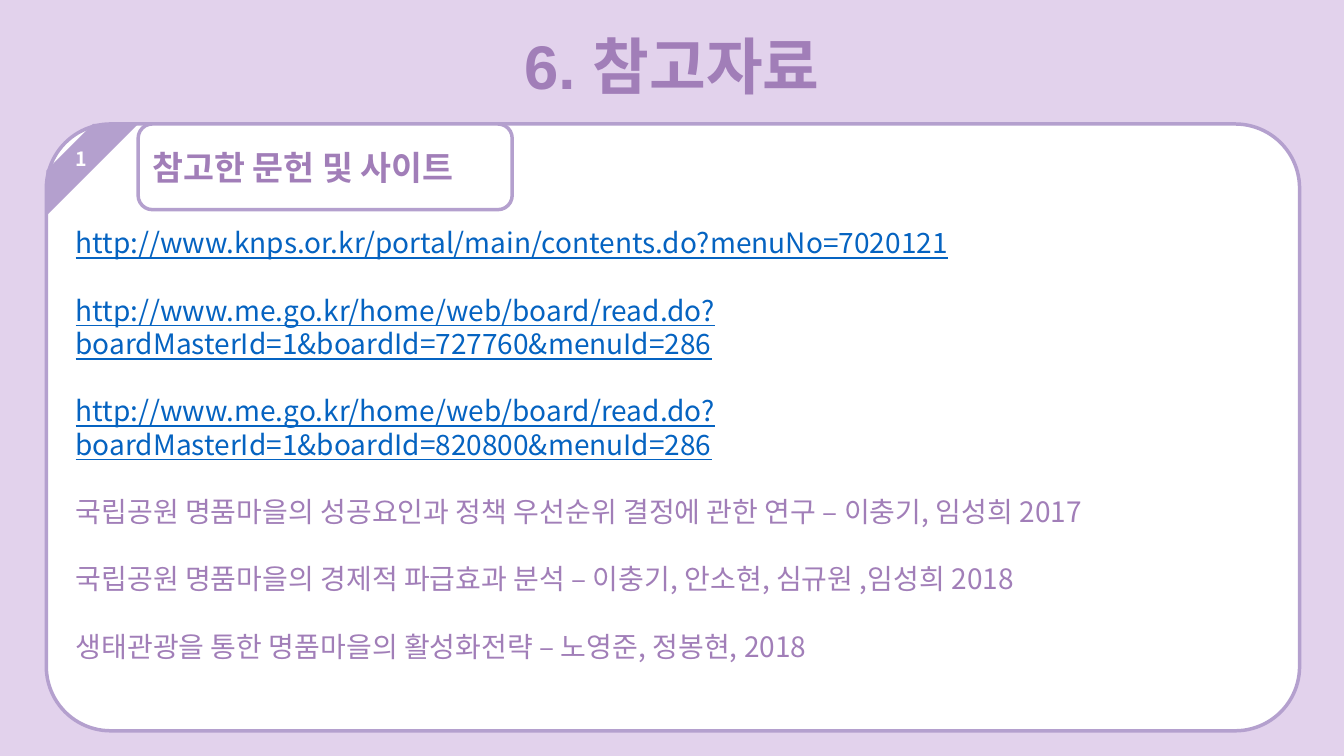
import pptx
import pptx.util
import pptx.dml.color
import pptx.enum.shapes
import pptx.enum.text
import pptx.oxml.ns
import lxml.etree

WIDE, HIGH = 13.33, 7.5
LILAC, PLUM, EDGE, WHITE, BLUE = "E2D2EC", "A17EB8", "B4A0CE", "FFFFFF", "0563C1"
NOTO = "Noto Sans CJK KR"
LEFT, TOP = 0.46, 1.23
KIND = pptx.enum.shapes.MSO_SHAPE
ALIGN = pptx.enum.text.PP_ALIGN
ANCHOR = pptx.enum.text.MSO_ANCHOR
LINKS = [
    "http://www.knps.or.kr/portal/main/contents.do?menuNo=7020121",
    "http://www.me.go.kr/home/web/board/read.do?boardMasterId=1&boardId=727760&menuId=286",
    "http://www.me.go.kr/home/web/board/read.do?boardMasterId=1&boardId=820800&menuId=286",
]
PAPERS = [
    "국립공원 명품마을의 성공요인과 정책 우선순위 결정에 관한 연구 – 이충기, 임성희 2017",
    "국립공원 명품마을의 경제적 파급효과 분석 – 이충기, 안소현, 심규원 ,임성희 2018",
    "생태관광을 통한 명품마을의 활성화전략 – 노영준, 정봉현, 2018",
]


def paint(color, tone):
    color.rgb = pptx.dml.color.RGBColor.from_string(tone)


def apply(item, form):
    for name, value in form.items():
        setattr(item, name, value)


def place(shape, box):
    names = ("left", "top", "width", "height")
    apply(shape, dict(zip(names, map(pptx.util.Inches, box))))


def write(para, text, size, tone, face=NOTO, **form):
    run = para.add_run()
    run.text = text
    apply(run.font, {"name": face, "size": pptx.util.Pt(size), **form})
    paint(run.font.color, tone)
    props = run._r.get_or_add_rPr()
    latin = props.find(pptx.oxml.ns.qn("a:latin"))
    east = lxml.etree.Element(pptx.oxml.ns.qn("a:ea"), typeface=NOTO)
    latin.addnext(east)


def block(slide, kind, box, fill, line=None, adj=None):
    shape = slide.shapes.add_shape(kind, *map(pptx.util.Inches, box))
    shape.shadow.inherit = False
    shape.fill.solid()
    paint(shape.fill.fore_color, fill)
    if line:
        shape.line.width = pptx.util.Pt(2.5)
        paint(shape.line.color, line)
    else:
        shape.line.fill.background()
    if adj:
        shape.adjustments[0] = adj
    shape.text_frame.vertical_anchor = ANCHOR.MIDDLE
    return shape


def head(slide, box):
    title = slide.shapes.title
    place(title, box)
    apply(title.text_frame, {
        "word_wrap": False,
        "vertical_anchor": ANCHOR.MIDDLE,
        "auto_size": pptx.enum.text.MSO_AUTO_SIZE.NONE,
    })
    para = title.text_frame.paragraphs[0]
    para.alignment = ALIGN.CENTER
    write(para, "6. 참고자료", 44, PLUM, "Arial", bold=True)


def panel(slide, box):
    left, top, _, _ = box
    side = 0.91
    block(slide, KIND.ROUNDED_RECTANGLE, box, WHITE, EDGE, 0.106)
    stripe = block(slide, KIND.DIAGONAL_STRIPE, (left, top, side, side), EDGE, adj=0.508)
    tag = block(slide, KIND.ROUNDED_RECTANGLE, (left + side, top, 3.71, 0.85), WHITE, EDGE)
    labels = (
        (stripe, "1", 14, WHITE, ALIGN.CENTER),
        (tag, "참고한 문헌 및 사이트", 24, PLUM, ALIGN.LEFT),
    )
    for shape, text, size, tone, align in labels:
        para = shape.text_frame.paragraphs[0]
        para.alignment = align
        write(para, text, size, tone, bold=True)


def sources(slide, box):
    body = slide.placeholders[1]
    place(body, box)
    slide.shapes._spTree.append(body._element)
    frame = body.text_frame
    apply(frame, {
        "word_wrap": True,
        "vertical_anchor": ANCHOR.TOP,
        "auto_size": pptx.enum.text.MSO_AUTO_SIZE.NONE,
        **dict.fromkeys(("margin_left", "margin_right", "margin_top", "margin_bottom"), 0),
    })
    for rank, text in enumerate(LINKS + PAPERS):
        link = text in LINKS
        para = frame.add_paragraph() if rank else frame.paragraphs[0]
        props = para._p.get_or_add_pPr()
        props.set("marL", "0")
        props.set("indent", "0")
        lxml.etree.SubElement(props, pptx.oxml.ns.qn("a:buNone"))
        apply(para, {
            "alignment": ALIGN.LEFT,
            "line_spacing": pptx.util.Pt(24),
            "space_before": pptx.util.Pt(24 if rank else 0),
            "space_after": pptx.util.Pt(0),
        })
        write(para, text, 20, BLUE if link else PLUM, underline=link)


def main():
    deck = pptx.Presentation()
    apply(deck, {
        "slide_width": pptx.util.Inches(WIDE),
        "slide_height": pptx.util.Inches(HIGH),
    })
    slide = deck.slides.add_slide(deck.slide_layouts[1])
    slide.background.fill.solid()
    paint(slide.background.fill.fore_color, LILAC)
    wide, high = 12.43, 6.02
    pad = 0.29
    head(slide, (4.96, 0.22, 3.41, 0.84))
    panel(slide, (LEFT, TOP, wide, high))
    sources(slide, (LEFT + pad, TOP + 1.01, wide - 2 * pad, 4.4))
    deck.save("out.pptx")


if __name__ == "__main__":
    main()
